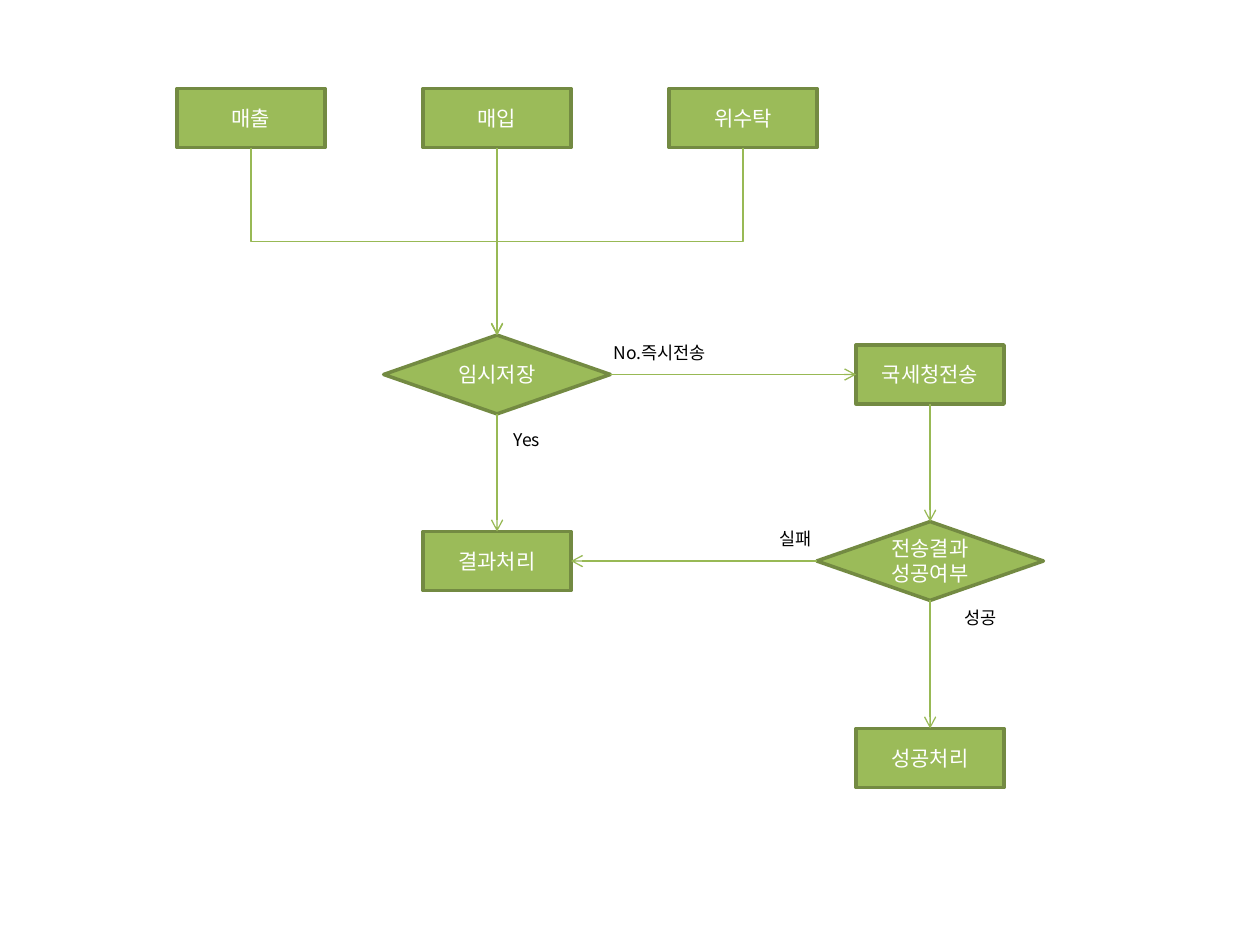
import pptx
import pptx.util
from pptx.dml.color import RGBColor
from pptx.enum.shapes import MSO_CONNECTOR, MSO_SHAPE
from pptx.enum.text import MSO_ANCHOR, MSO_AUTO_SIZE, PP_ALIGN
from pptx.oxml.ns import qn
from pptx.util import Cm, Pt
from lxml import etree

FONT = "Noto Sans CJK KR"
GREEN = RGBColor(0x9B, 0xBB, 0x59)
DARK_GREEN = RGBColor(0x73, 0x8A, 0x42)
LINE_GREEN = RGBColor(0x98, 0xB9, 0x55)
WHITE = RGBColor(0xFF, 0xFF, 0xFF)
BLACK = RGBColor(0, 0, 0)
TOP, LEFT, BOTTOM, RIGHT = range(4)

# Grid of node centres and node sizes, in cm
COLUMNS = [5.06, 10.02, 14.98, 18.75]
ROWS = [2.38, 7.55, 11.31, 15.28]
PROCESS = (MSO_SHAPE.FLOWCHART_PROCESS, 2.98, 1.19)
DECISION = (MSO_SHAPE.FLOWCHART_DECISION, 4.57, 1.59)

# Text: kind, column, row
NODES = {
    "매출": (PROCESS, 0, 0),
    "매입": (PROCESS, 1, 0),
    "위수탁": (PROCESS, 2, 0),
    "임시저장": (DECISION, 1, 1),
    "국세청전송": (PROCESS, 3, 1),
    "전송결과 성공여부": (DECISION, 3, 2),
    "결과처리": (PROCESS, 1, 2),
    "성공처리": (PROCESS, 3, 3),
}
# From, side, to, side
ARROWS = [
    ("매입", BOTTOM, "임시저장", TOP),
    ("임시저장", RIGHT, "국세청전송", LEFT),
    ("임시저장", BOTTOM, "결과처리", TOP),
    ("국세청전송", BOTTOM, "전송결과 성공여부", TOP),
    ("전송결과 성공여부", LEFT, "결과처리", RIGHT),
    ("전송결과 성공여부", BOTTOM, "성공처리", TOP),
]
# From, to: downwards, across and downwards again
BENT_ARROWS = [("매출", "임시저장"), ("위수탁", "임시저장")]
# Text, left, top, width in cm
LABELS = [
    ("실패", 15.47, 10.52, 1.22),
    ("No.즉시전송", 12.12, 6.76, 2.51),
    ("Yes", 10.11, 8.53, 1.07),
    ("성공", 19.2, 12.12, 1.22),
]
LABEL_HEIGHT = 0.69


def add_text(shape, text, size, color):
    run = shape.text_frame.paragraphs[0].add_run()
    run.text = text
    run.font.size = Pt(size)
    run.font.name = FONT
    run.font.color.rgb = color
    east_asian = etree.SubElement(run.font._element, qn("a:ea"))
    east_asian.set("typeface", FONT)


def add_node(slide, text, kind, column, row):
    preset, width, height = kind
    shape = slide.shapes.add_shape(
        preset, Cm(COLUMNS[column] - width / 2), Cm(ROWS[row] - height / 2),
        Cm(width), Cm(height))
    shape.shadow.inherit = False
    shape.fill.solid()
    shape.fill.fore_color.rgb = GREEN
    shape.line.color.rgb = DARK_GREEN
    shape.line.width = Pt(2)
    shape.text_frame.word_wrap = True
    shape.text_frame.vertical_anchor = MSO_ANCHOR.MIDDLE
    shape.text_frame.paragraphs[0].alignment = PP_ALIGN.CENTER
    add_text(shape, text, 12, WHITE)
    return shape


def style_arrow(connector):
    connector.line.color.rgb = LINE_GREEN
    connector.line.width = Pt(0.75)
    tail = etree.SubElement(connector.line._get_or_add_ln(), qn("a:tailEnd"))
    tail.set("type", "arrow")
    etree.SubElement(connector._element.spPr, qn("a:effectLst"))


def add_arrow(slide, start, start_side, end, end_side):
    connector = slide.shapes.add_connector(MSO_CONNECTOR.STRAIGHT, 0, 0, 0, 0)
    connector.begin_connect(start, start_side)
    connector.end_connect(end, end_side)
    style_arrow(connector)


def add_bent_arrow(slide, start, end):
    """Turn a sideways elbow by a quarter so that it leaves downwards."""
    start_x, start_y = start.left + start.width // 2, start.top + start.height
    end_x, end_y = end.left + end.width // 2, end.top
    center_x, center_y = (start_x + end_x) // 2, (start_y + end_y) // 2
    half_drop, half_run = (end_y - start_y) // 2, abs(end_x - start_x) // 2
    from_left = start_x < end_x
    reach = half_drop if from_left else -half_drop
    connector = slide.shapes.add_connector(
        MSO_CONNECTOR.ELBOW, center_x + reach, center_y - half_run,
        center_x - reach, center_y + half_run)
    degrees = 270 if from_left else 90
    connector._element.spPr.find(qn("a:xfrm")).set("rot", str(degrees * 60000))
    style_arrow(connector)


def add_label(slide, text, left, top, width):
    label = slide.shapes.add_textbox(Cm(left), Cm(top), Cm(width), Cm(LABEL_HEIGHT))
    label.text_frame.word_wrap = False
    label.text_frame.auto_size = MSO_AUTO_SIZE.SHAPE_TO_FIT_TEXT
    add_text(label, text, 10, BLACK)


def main():
    presentation = pptx.Presentation()
    presentation.slide_width, presentation.slide_height = Cm(25.4), Cm(19.05)
    slide = presentation.slides.add_slide(presentation.slide_layouts[6])

    # Flowchart nodes
    nodes = {text: add_node(slide, text, *place) for text, place in NODES.items()}

    # Arrows
    for start, start_side, end, end_side in ARROWS:
        add_arrow(slide, nodes[start], start_side, nodes[end], end_side)
    for start, end in BENT_ARROWS:
        add_bent_arrow(slide, nodes[start], nodes[end])

    # Branch labels
    for label in LABELS:
        add_label(slide, *label)

    presentation.save("out.pptx")


if __name__ == "__main__":
    main()
